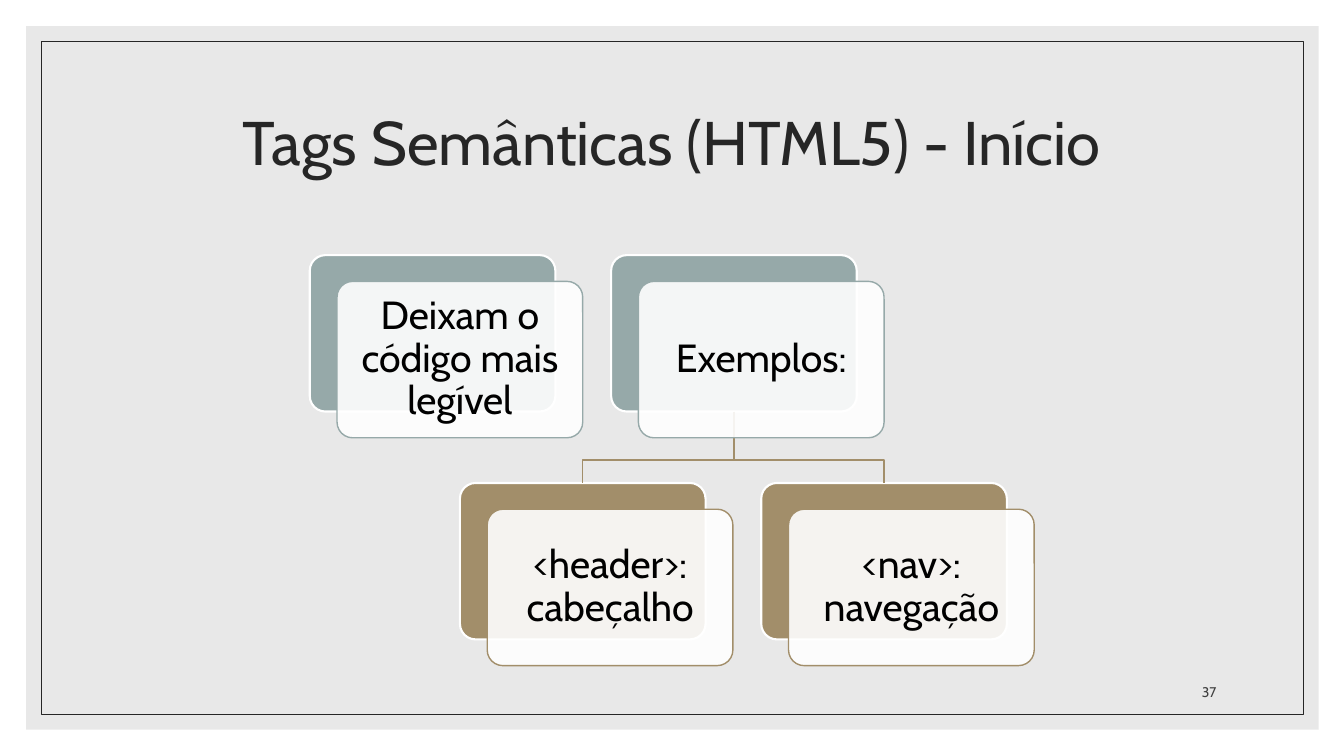
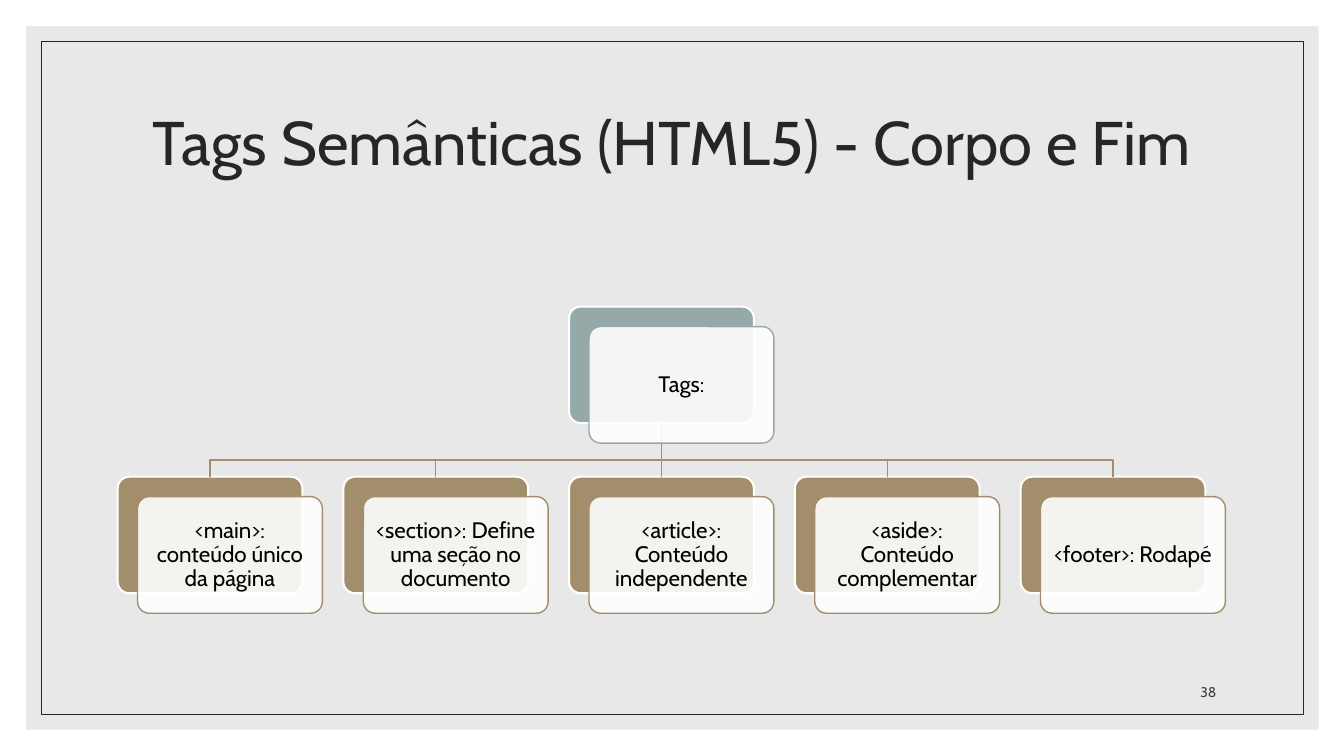
from dataclasses import dataclass

from lxml import etree
from pptx import Presentation
from pptx.dml.color import RGBColor
from pptx.enum.shapes import MSO_CONNECTOR, MSO_SHAPE
from pptx.enum.text import MSO_ANCHOR, MSO_AUTO_SIZE, PP_ALIGN
from pptx.oxml.ns import qn
from pptx.util import Emu, Pt

RECTANGLE = MSO_SHAPE.RECTANGLE
ROUNDED = MSO_SHAPE.ROUNDED_RECTANGLE
STRAIGHT = MSO_CONNECTOR.STRAIGHT
MIDDLE, BOTTOM = MSO_ANCHOR.MIDDLE, MSO_ANCHOR.BOTTOM
CENTER, RIGHT = PP_ALIGN.CENTER, PP_ALIGN.RIGHT
NO_AUTOFIT = MSO_AUTO_SIZE.NONE

EMU_PER_PX = 9525
SLIDE_SIZE = (1280, 720)
BACKDROP_BOX = (25, 25, 1231, 670)
BORDER_BOX = (39, 39, 1202, 641)
TITLE_BOX = (112, 67, 1056, 144)
NUMBER_BOX = (1080, 634, 88, 38)
TITLE_ONLY = 5

FONT = "Cabin"
WHITE, BLACK = "FFFFFF", "000000"
GREY, INK, NUMBER_INK = "D9D9D9", "262626", "404040"
TEAL, TAN = "96A9A9", "A28E6A"


@dataclass
class CardStyle:
    width: int
    height: int
    offset: tuple
    step: int
    margin: int
    font_size: int
    drop: int


LARGE = CardStyle(234, 149, (26, 25), 287, 11, 28, 22)
SMALL = CardStyle(176, 111, (19, 19), 215, 7, 16, 16)


@dataclass
class Card:
    text: str
    left: int
    top: int
    color: str


def px(value):
    return Emu(round(value * EMU_PER_PX))


def rgb(color):
    return RGBColor.from_string(color)


def style_line(shape, color, width):
    shape.line.color.rgb = rgb(color)
    shape.line.width = Pt(width)


def add_box(slide, kind, box, fill=None, opacity=100, line=None, line_width=1):
    shape = slide.shapes.add_shape(kind, *map(px, box))
    shape.shadow.inherit = False
    if fill:
        shape.fill.solid()
        shape.fill.fore_color.rgb = rgb(fill)
        if opacity < 100:
            color = shape.element.spPr.find(qn("a:solidFill")).find(qn("a:srgbClr"))
            etree.SubElement(color, qn("a:alpha")).set("val", str(opacity * 1000))
    else:
        shape.fill.background()
    if line:
        style_line(shape, line, line_width)
    else:
        shape.line.fill.background()
    return shape


def write_text(shape, text, size, color, align=CENTER, anchor=MIDDLE, spacing=0.9):
    frame = shape.text_frame
    frame.word_wrap = True
    frame.auto_size = NO_AUTOFIT
    frame.vertical_anchor = anchor
    frame.text = text
    paragraph = frame.paragraphs[0]
    paragraph.alignment = align
    paragraph.line_spacing = spacing
    paragraph.font.name = FONT
    paragraph.font.size = Pt(size)
    paragraph.font.color.rgb = rgb(color)


def add_base_slide(presentation, title_text, number):
    slide = presentation.slides.add_slide(presentation.slide_layouts[TITLE_ONLY])
    title = slide.shapes.title
    backdrop = add_box(slide, RECTANGLE, BACKDROP_BOX, GREY, opacity=60)
    border = add_box(slide, RECTANGLE, BORDER_BOX, line=INK, line_width=0.5)
    for shape in (backdrop, border):
        title.element.addprevious(shape.element)
    title.left, title.top, title.width, title.height = map(px, TITLE_BOX)
    write_text(title, title_text, 44, INK)
    number_box = slide.shapes.add_textbox(*map(px, NUMBER_BOX))
    write_text(number_box, str(number), 10, NUMBER_INK, RIGHT, BOTTOM, 1)
    return slide


def add_card_back(slide, card, style):
    box = (card.left, card.top, style.width, style.height)
    shape = add_box(slide, ROUNDED, box, card.color, line=WHITE, line_width=1.5)
    shape.adjustments[0] = 0.1
    return shape


def add_card_front(slide, card, style):
    shift_x, shift_y = style.offset
    box = (card.left + shift_x, card.top + shift_y, style.width, style.height)
    shape = add_box(slide, ROUNDED, box, WHITE, opacity=90, line=card.color)
    shape.adjustments[0] = 0.1
    frame = shape.text_frame
    frame.margin_left = frame.margin_right = px(style.margin)
    frame.margin_top = frame.margin_bottom = px(style.margin)
    write_text(shape, card.text, style.font_size, BLACK)


def add_branch(slide, parent, child, drop):
    start_x = parent.left + parent.width // 2
    start_y = parent.top + parent.height
    end_x = child.left + child.width // 2
    if start_x == end_x:
        link = slide.shapes.add_connector(STRAIGHT, start_x, start_y, end_x, child.top)
        link.begin_connect(parent, 2)
        link.end_connect(child, 0)
        etree.SubElement(link.element.spPr, qn("a:effectLst"))
    else:
        bend_y = child.top - px(drop)
        builder = slide.shapes.build_freeform(start_x, start_y)
        points = [(start_x, bend_y), (end_x, bend_y), (end_x, child.top)]
        builder.add_line_segments(points, close=False)
        link = builder.convert_to_shape()
        link.fill.background()
        link.shadow.inherit = False
    style_line(link, TAN, 1)


def lay_out_row(texts, left, top, color, style):
    return [Card(text, left + index * style.step, top, color)
            for index, text in enumerate(texts)]


def add_tree(slide, roots, children, style):
    cards = roots + children
    backs = [add_card_back(slide, card, style) for card in cards]
    parent = backs[len(roots) - 1]
    for child in backs[len(roots):]:
        add_branch(slide, parent, child, style.drop)
    for card in cards:
        add_card_front(slide, card, style)


def add_opening_slide(presentation):
    slide = add_base_slide(presentation, "Tags Semânticas (HTML5) - Início", 37)
    roots = lay_out_row(["Deixam o código mais legível", "Exemplos:"],
                        295, 243, TEAL, LARGE)
    children = lay_out_row(["<header>: cabeçalho", "<nav>: navegação"],
                           438, 460, TAN, LARGE)
    add_tree(slide, roots, children, LARGE)


def add_body_slide(presentation):
    slide = add_base_slide(presentation, "Tags Semânticas (HTML5) - Corpo e Fim", 38)
    roots = lay_out_row(["Tags:"], 542, 292, TEAL, SMALL)
    children = lay_out_row([
        "<main>: conteúdo único da página",
        "<section>: Define uma seção no documento",
        "<article>: Conteúdo independente",
        "<aside>: Conteúdo complementar",
        "<footer>: Rodapé",
    ], 112, 454, TAN, SMALL)
    add_tree(slide, roots, children, SMALL)


def main():
    presentation = Presentation()
    presentation.slide_width, presentation.slide_height = map(px, SLIDE_SIZE)
    add_opening_slide(presentation)
    add_body_slide(presentation)
    presentation.save("out.pptx")


if __name__ == "__main__":
    main()
